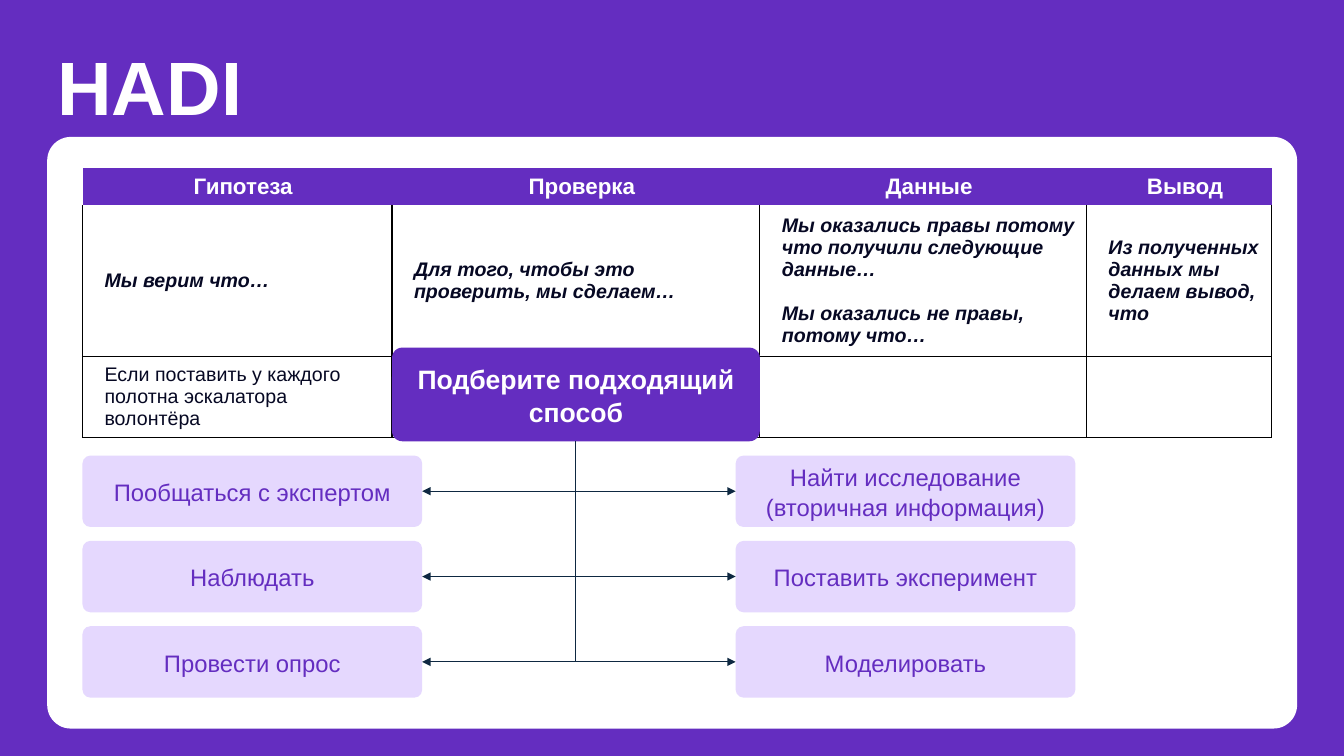
from lxml import etree
from pptx import Presentation
from pptx.dml.color import RGBColor
from pptx.enum.shapes import MSO_CONNECTOR, MSO_SHAPE
from pptx.enum.text import MSO_ANCHOR, MSO_AUTO_SIZE, PP_ALIGN
from pptx.oxml.ns import qn
from pptx.util import Cm, Pt

PURPLE, LILAC, WHITE = "642DC0", "E5D8FE", "FFFFFF"
INK, BLACK, NAVY = "060823", "000000", "0E2841"
PLAIN_TABLE_STYLE = "{2D5ABB26-0587-4C30-8999-92F81FD0307C}"

HEADINGS = ["Гипотеза", "Проверка", "Данные", "Вывод"]
PROMPTS = [
    ["Мы верим что…"],
    ["Для того, чтобы это проверить, мы сделаем…"],
    ["Мы оказались правы потому что получили следующие данные…",
     "Мы оказались не правы, потому что…"],
    ["Из полученных данных мы делаем вывод, что"],
]
EXAMPLE = "Если поставить у каждого полотна эскалатора волонтёра"
METHOD_PAIRS = [
    ("Пообщаться с экспертом", "Найти исследование (вторичная информация)"),
    ("Наблюдать", "Поставить эксперимент"),
    ("Провести опрос", "Моделировать"),
]


def color(hex_string):
    return RGBColor.from_string(hex_string)


def add_text(paragraph, text, size, hex_string, bold=False, italic=False):
    run = paragraph.add_run()
    run.text = text
    run.font.name = "Arial"
    run.font.size = Pt(size)
    run.font.bold = bold
    run.font.italic = italic
    run.font.color.rgb = color(hex_string)


def add_rounded_box(slide, left, top, width, height, fill, rounding):
    shape = slide.shapes.add_shape(MSO_SHAPE.ROUNDED_RECTANGLE,
                                   Cm(left), Cm(top), Cm(width), Cm(height))
    shape.adjustments[0] = rounding
    shape.shadow.inherit = False
    shape.fill.solid()
    shape.fill.fore_color.rgb = color(fill)
    shape.line.fill.background()
    return shape


def add_label_box(slide, left, top, width, height, text, fill, size, text_color, bold=False):
    shape = add_rounded_box(slide, left, top, width, height, fill, 0.11)
    frame = shape.text_frame
    frame.word_wrap = True
    frame.vertical_anchor = MSO_ANCHOR.MIDDLE
    paragraph = frame.paragraphs[0]
    paragraph.alignment = PP_ALIGN.CENTER
    paragraph.line_spacing = 1.05
    add_text(paragraph, text, size, text_color, bold)
    return shape


def add_title(slide, left, top, width, height):
    title = slide.shapes.title
    title.left, title.top, title.width, title.height = Cm(left), Cm(top), Cm(width), Cm(height)
    frame = title.text_frame
    frame.auto_size = MSO_AUTO_SIZE.NONE
    frame.vertical_anchor = MSO_ANCHOR.TOP
    paragraph = frame.paragraphs[0]
    paragraph.alignment = PP_ALIGN.LEFT
    add_text(paragraph, "HADI", 54, WHITE, bold=True)


def set_borders(cell, sides):
    """Draw thin black lines on the given sides, before the cell gets its fill."""
    properties = cell._tc.get_or_add_tcPr()
    for side in sides:
        line = etree.SubElement(properties, qn(f"a:ln{side}"), w=str(Pt(1)))
        fill = etree.SubElement(line, qn("a:solidFill"))
        etree.SubElement(fill, qn("a:srgbClr"), val=BLACK)


def write_cell(cell, texts, size, text_color, bold=False, italic=False, alignment=PP_ALIGN.LEFT):
    cell.vertical_anchor = MSO_ANCHOR.MIDDLE
    frame = cell.text_frame
    for index, text in enumerate(texts):
        paragraph = frame.add_paragraph() if index else frame.paragraphs[0]
        paragraph.alignment = alignment
        if index:
            paragraph.space_before = Pt(16)
        indent = paragraph._p.get_or_add_pPr()
        indent.set("marL", str(Cm(0.3)))
        indent.set("indent", "0")
        add_text(paragraph, text, size, text_color, bold, italic)


def add_hadi_table(slide, left, top, widths, heights):
    frame = slide.shapes.add_table(len(heights), len(widths), Cm(left), Cm(top),
                                   Cm(sum(widths)), Cm(sum(heights)))
    table = frame.table
    table.horz_banding = False
    table._tbl.tblPr.find(qn("a:tableStyleId")).text = PLAIN_TABLE_STYLE
    for row, height in zip(table.rows, heights):
        row.height = Cm(height)
    for index, width in enumerate(widths):
        table.columns[index].width = Cm(width)
        heading, prompt, answer = (table.cell(row, index) for row in range(3))
        heading.fill.solid()
        heading.fill.fore_color.rgb = color(PURPLE)
        write_cell(heading, [HEADINGS[index]], 16, WHITE, bold=True, alignment=PP_ALIGN.CENTER)
        set_borders(prompt, "LRB")
        set_borders(answer, "LRTB")
        prompt.fill.background()
        answer.fill.background()
        write_cell(prompt, PROMPTS[index], 14, INK, bold=True, italic=True)
    write_cell(table.cell(2, 0), [EXAMPLE], 14, INK)


def connect(slide, option, option_site, method):
    """Run an elbow from the side of an option, arrow first, to the foot of the method box."""
    connector = slide.shapes.add_connector(MSO_CONNECTOR.ELBOW, 0, 0, 0, 0)
    connector.begin_connect(option, option_site)
    connector.end_connect(method, 2)
    connector.line.color.rgb = color(NAVY)
    connector.line.width = Pt(0.75)
    properties = connector._element.spPr
    properties.find(qn("a:prstGeom")).set("prst", "bentConnector2")
    etree.SubElement(connector.line._get_or_add_ln(), qn("a:headEnd"), type="triangle")
    etree.SubElement(properties, qn("a:effectLst"))


def add_method_tree(slide, left, top):
    width, height, row_step, column_step = 8.56, 1.8, 2.15, 16.46
    method = add_label_box(slide, left + 7.8, top - 2.72, 9.27, 2.36,
                           "Подберите подходящий способ", PURPLE, 19, WHITE, bold=True)
    for row, pair in enumerate(METHOD_PAIRS):
        for column, (text, inner_site) in enumerate(zip(pair, (3, 1))):
            option = add_label_box(slide, left + column * column_step, top + row * row_step,
                                   width, height, text, LILAC, 17, PURPLE)
            connect(slide, option, inner_site, method)


def build_hadi_slide(presentation):
    slide = presentation.slides.add_slide(presentation.slide_layouts[5])
    slide.background.fill.solid()
    slide.background.fill.fore_color.rgb = color(PURPLE)
    add_rounded_box(slide, 1.19, 3.45, 31.5, 14.91, WHITE, 0.04)
    add_title(slide, 1.19, 0.89, 23.11, 2.56)
    add_hadi_table(slide, 2.08, 4.24, [7.8, 9.27, 8.23, 4.67], [0.93, 3.81, 2.04])
    add_method_tree(slide, 2.08, 11.48)


def main():
    presentation = Presentation()
    presentation.slide_width, presentation.slide_height = Cm(33.87), Cm(19.05)
    build_hadi_slide(presentation)
    presentation.save("out.pptx")


if __name__ == "__main__":
    main()
